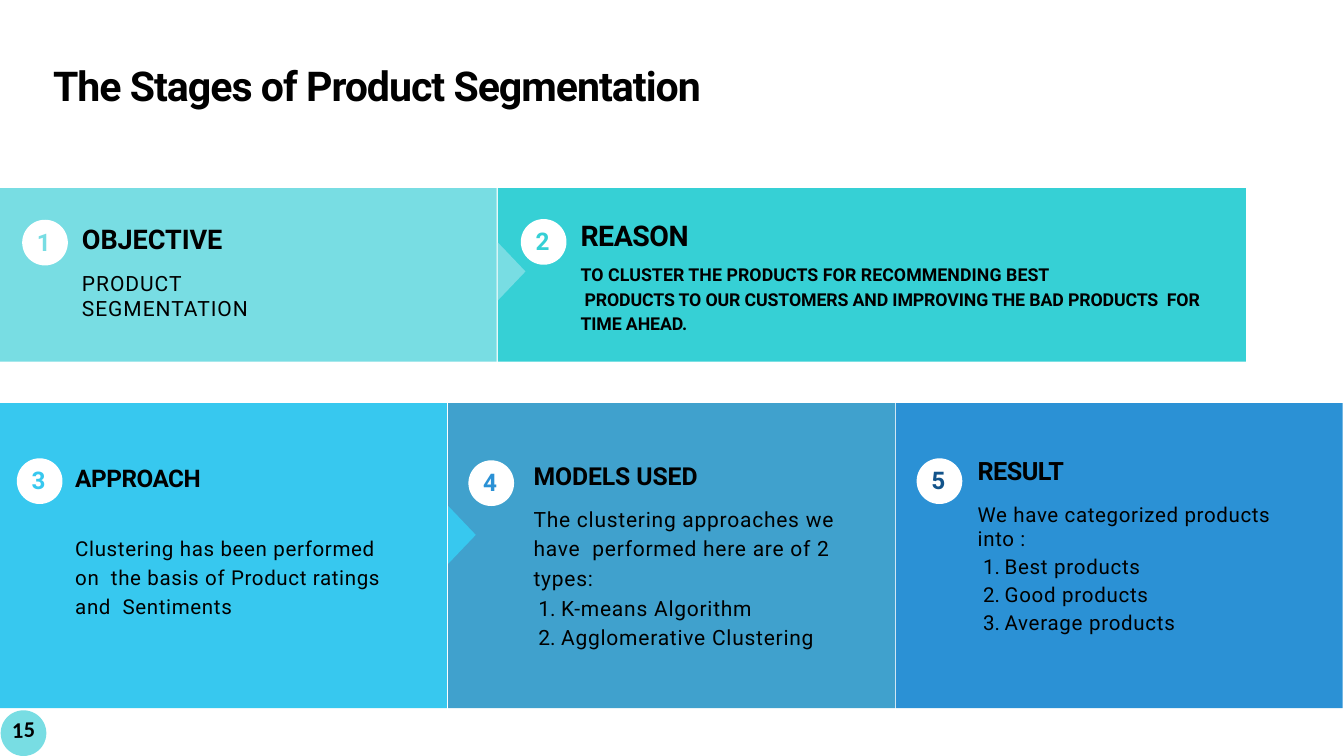
import pptx
import pptx.util
import pptx.dml.color
import pptx.enum.shapes
import pptx.enum.text
import lxml.etree

Inches = pptx.util.Inches
Pt = pptx.util.Pt

THEME = {
    "font": "Roboto", "plain": "Calibri",
    "ink": "000000", "white": "FFFFFF", "aqua": "78DDE3", "teal": "36D0D5",
    "sky": "37C8EF", "steel": "40A1CD", "blue": "2B91D5", "navy": "12538A",
    "title": 44, "badge": 26, "page": 24,
}

PANELS = [
    (0, 2.8, 7.39, 2.58, "aqua"),
    (7.41, 2.8, 11.13, 2.58, "teal"),
    (0, 6, 6.65, 4.54, "sky"),
    (6.67, 6, 6.65, 4.54, "steel"),
    (13.33, 6, 6.65, 4.54, "blue"),
]
ARROWS = [(7.41, 3.61, "aqua"), (6.67, 7.53, "sky")]
BADGES = [
    ("1", 0.33, 3.27, "aqua"),
    ("2", 7.75, 3.26, "teal"),
    ("3", 0.25, 6.82, "sky"),
    ("4", 6.97, 6.85, "blue"),
    ("5", 13.64, 6.82, "navy"),
]
DISC = 0.68


def head(text, size, gap=0):
    return {"text": text, "size": size, "bold": True, "gap": gap}


def item(text, size, left, hang, before, gap):
    return {"text": text, "size": size, "left": left, "first": -hang,
            "before": before, "gap": gap, "list": True}


BLOCKS = [
    ((0.78, 0.89, 10.59, 0.76), 0.01, [
        head("The Stages of Product Segmentation", THEME["title"], -1.1)]),
    ((1.21, 3.29, 4.03, 1.13), 0.02, [
        head("OBJECTIVE", 29, -0.1),
        {"text": "PRODUCT SEGMENTATION", "size": 22.5, "before": 16.9,
         "gap": 1, "right": 0.2}]),
    ((8.63, 2.93, 9.4, 2.06), 0.31, [
        head("REASON", 30.5, -0.5),
        {"text": "TO CLUSTER THE PRODUCTS FOR RECOMMENDING BEST", "size": 19,
         "bold": True, "before": 13.3, "gap": 0.1},
        {"text": "PRODUCTS TO OUR CUSTOMERS AND IMPROVING THE BAD PRODUCTS  "
                 "FOR TIME AHEAD.",
         "size": 19, "bold": True, "first": 0.06, "line": 1.15, "gap": -0.1}]),
    ((1.11, 6.89, 2.01, 0.46), 0.01, [head("APPROACH", 26, -0.5)]),
    ((1.11, 7.91, 4.84, 1.31), 0.01, [
        {"text": "Clustering has been performed on  the basis of Product "
                 "ratings and  Sentiments",
         "size": 22, "line": 1.17, "gap": 0.7, "right": 0.2}]),
    ((7.93, 6.83, 5.21, 2.42), 0.02, [
        head("MODELS USED", 26.5, -0.1),
        {"text": "The clustering approaches we have  performed here are of 2 "
                 "types:",
         "size": 22.5, "line": 1.18, "before": 12.4, "gap": 0.8,
         "right": 0.4}] + [
        item(text, 22.5, 0.42, 0.34, 4.8, 0.8)
        for text in ("K-means Algorithm", "Agglomerative Clustering")]),
    ((14.54, 6.77, 5.07, 2.33), 0.01, [
        head("RESULT", 27, -0.6),
        {"text": "We have categorized products into :", "size": 22,
         "before": 17.1, "gap": 0.7, "right": 0.4}] + [
        item(text, 22, 0.41, 0.32, 3.6, 0.8)
        for text in ("Best products", "Good products", "Average products")]),
]

deck = pptx.Presentation()
deck.slide_width, deck.slide_height = Inches(20), Inches(11.25)
slide = deck.slides.add_slide(deck.slide_layouts[6])
shapes = slide.shapes
KIND = pptx.enum.shapes.MSO_SHAPE


def tint(name):
    return pptx.dml.color.RGBColor.from_string(THEME[name])


def paint(shape, hue):
    shape.shadow.inherit = False
    shape.fill.solid()
    shape.fill.fore_color.rgb = tint(hue)
    shape.line.fill.background()


def block(kind, x, y, w, h, hue):
    paint(shapes.add_shape(kind, *map(Inches, (x, y, w, h))), hue)


def arrow(x, y, hue):
    path = shapes.build_freeform(Inches(x), Inches(y))
    path.add_line_segments([(Inches(x + 0.41), Inches(y + 0.43)),
                            (Inches(x), Inches(y + 0.86))], close=True)
    paint(path.convert_to_shape(), hue)


def write(place, top, paras):
    box = shapes.add_textbox(*map(Inches, place))
    frame = box.text_frame
    frame.word_wrap = True
    frame.auto_size = pptx.enum.text.MSO_AUTO_SIZE.SHAPE_TO_FIT_TEXT
    frame.margin_left = frame.margin_right = frame.margin_bottom = 0
    frame.margin_top = Inches(top)
    frame.text = "\n".join(para["text"] for para in paras)
    for para, data in zip(frame.paragraphs, paras):
        para.space_before = Pt(data.get("before", 0))
        para.line_spacing = data.get("line", 1.0)
        props = para._p.get_or_add_pPr()
        props.set("marL", str(Inches(data.get("left", 0.01))))
        props.set("marR", str(Inches(data.get("right", 0))))
        props.set("indent", str(Inches(data.get("first", 0))))
        if data.get("list"):
            mark = lxml.etree.SubElement(
                props, pptx.oxml.ns.qn("a:buAutoNum"))
            mark.set("type", "arabicPeriod")
        for run in para.runs:
            font = run.font
            font.name = data.get("font", THEME["font"])
            font.size = Pt(data["size"])
            font.bold = data.get("bold", False)
            font.color.rgb = tint(data.get("hue", "ink"))
            run._r.get_or_add_rPr().set(
                "spc", str(round(data.get("gap", 0) * 100)))
    return box


for panel in PANELS:
    block(KIND.RECTANGLE, *panel)
for spot in ARROWS:
    arrow(*spot)
for label, x, y, hue in BADGES:
    block(KIND.OVAL, x, y, DISC, DISC, "white")
    write((x + 0.21, y + 0.1, 0.25, 0.46), 0.01,
          [dict(head(label, THEME["badge"], -0.3), hue=hue)])
for place, top, paras in BLOCKS:
    write(place, top, paras)

block(KIND.OVAL, 0.01, 10.57, DISC, DISC, "aqua")
page = write((0.18, 10.84, 0.36, 0.25), 0,
             [dict(head("15", THEME["page"], 0.5), font=THEME["plain"],
                   line=Pt(15), left=0)])
page.rotation = 359

deck.save("out.pptx")
